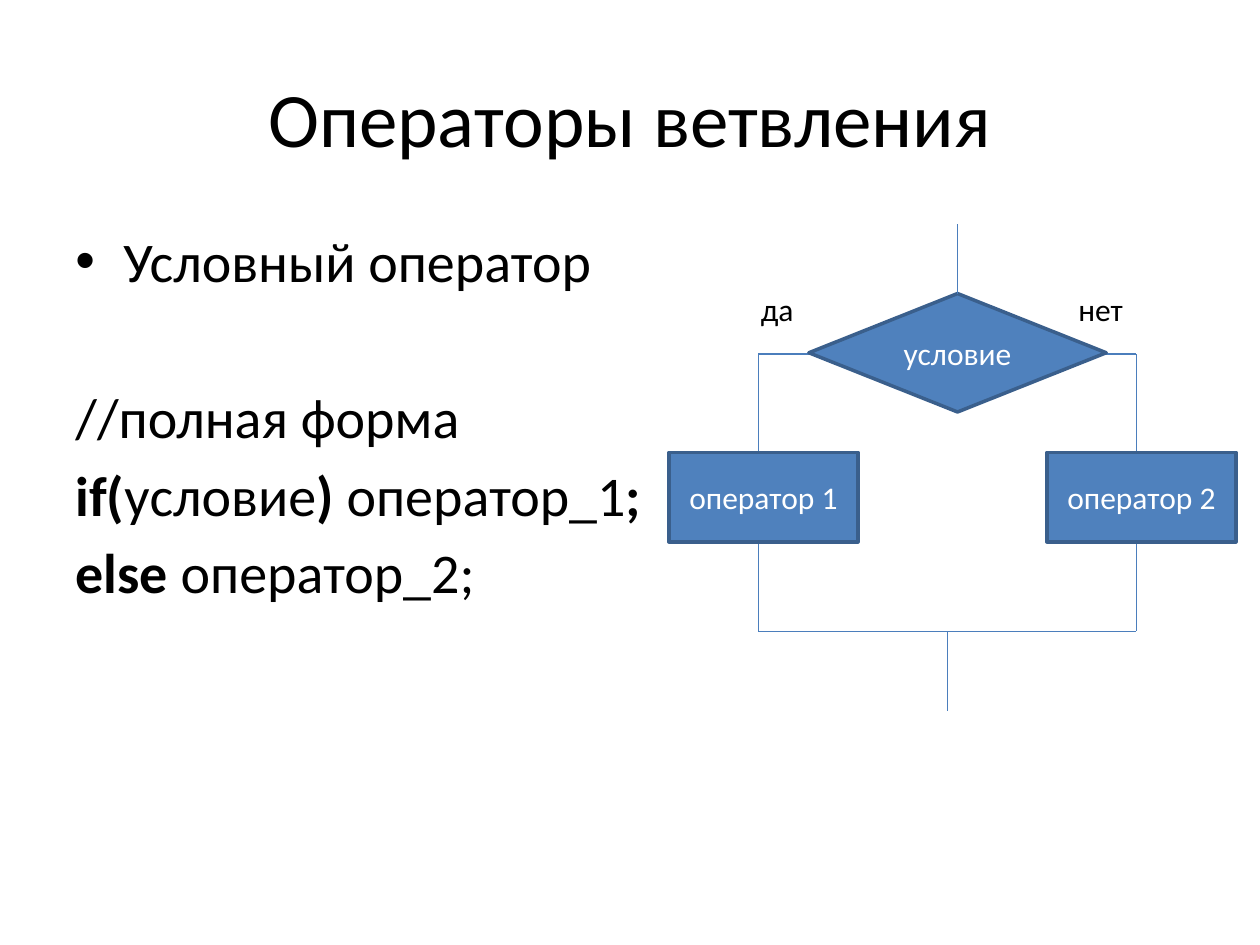
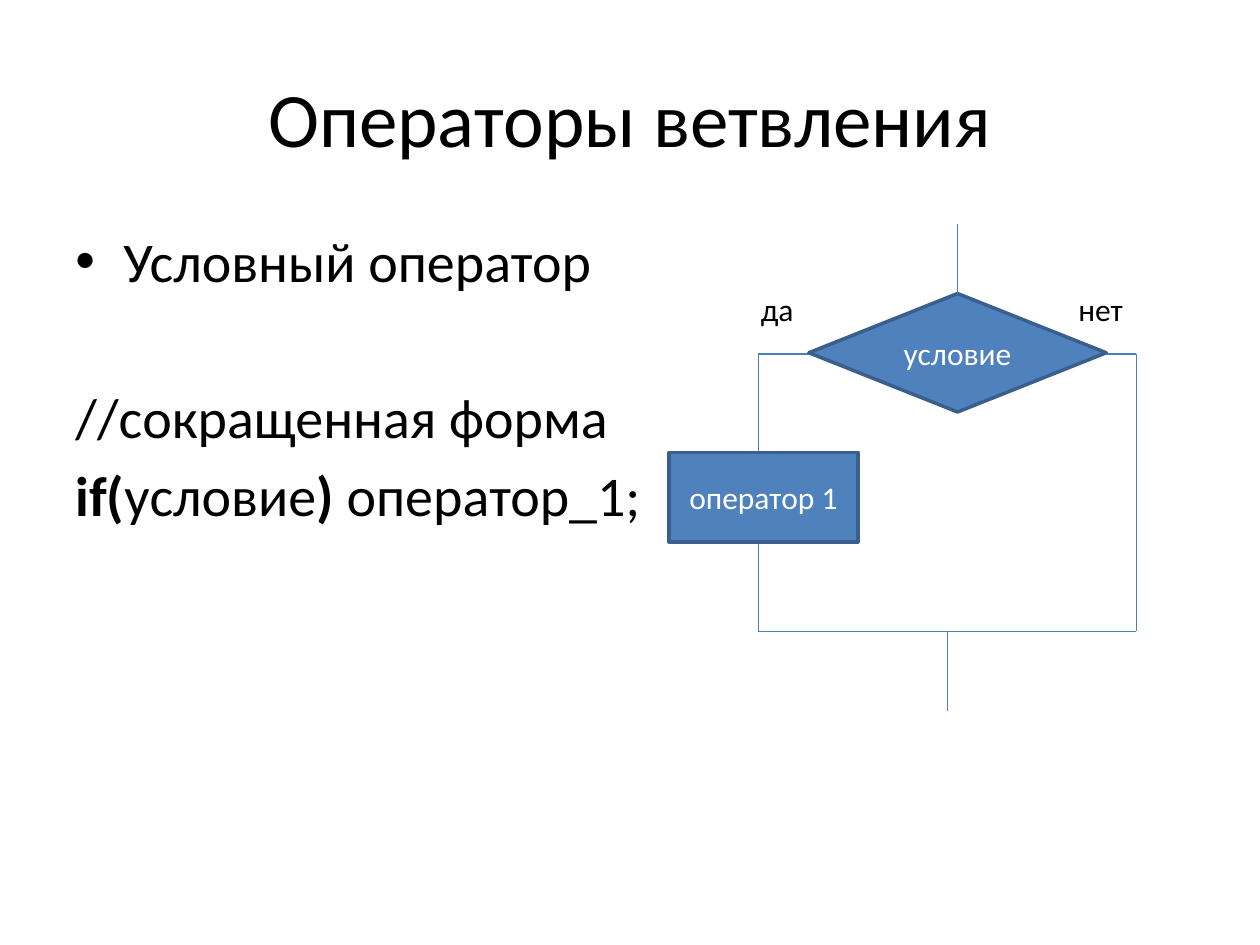
from pptx import Presentation
from pptx.dml.color import RGBColor
from pptx.enum.shapes import MSO_CONNECTOR, MSO_SHAPE
from pptx.enum.text import MSO_ANCHOR, PP_ALIGN
from pptx.oxml.ns import qn
from pptx.util import Emu, Inches, Pt

LINE = MSO_CONNECTOR.STRAIGHT
PROCESS = MSO_SHAPE.FLOWCHART_PROCESS
DECISION = MSO_SHAPE.FLOWCHART_DECISION
LEFT, CENTER = PP_ALIGN.LEFT, PP_ALIGN.CENTER
TOP, MIDDLE = MSO_ANCHOR.TOP, MSO_ANCHOR.MIDDLE

COLS, ROWS = 100, 75
SPACE = 5.8          # points between code lines
BLANK_LINE = 50.7    # points for a skipped line

# Flowchart grid: branch columns, and rows where lines start and end
YES_X, NO_X = 60.2, 90.2
MERGE_X = (YES_X + NO_X) / 2
TEST_X, TEST_Y, TEST_W, TEST_H = 76, 28, 23.6, 9.4
ENTRY_Y, BRANCH_Y, MERGE_Y, EXIT_Y = 17.8, 28.1, 50.1, 56.4
STEP_Y, STEP_W, STEP_H, STEP_SHIFT = 35.9, 15, 7.1, 7.1


def rgb(value):
    return RGBColor.from_string(value)


def write(p, text, size=18, color="000000", bold=False, font="Calibri"):
    r = p.add_run()
    r.text = text
    r.font.name, r.font.size, r.font.bold = font, Pt(size), bold
    r.font.color.rgb = rgb(color)


class Deck:
    fill, border, wire = "4F81BD", "3A5F8C", "4B7EBC"

    def __init__(self):
        self.prs = Presentation()
        self.prs.slide_width, self.prs.slide_height = Inches(10), Inches(7.5)
        self.s = None

    def x(self, cols):
        return Emu(round(self.prs.slide_width * cols / COLS))

    def y(self, rows):
        return Emu(round(self.prs.slide_height * rows / ROWS))

    def box(self, left, top, width, height):
        return self.x(left), self.y(top), self.x(width), self.y(height)

    def frame(self, sp, anchor, align):
        tf = sp.text_frame
        tf.word_wrap, tf.vertical_anchor = True, anchor
        tf.paragraphs[0].alignment = align
        return tf

    def slide(self, title):
        self.s = self.prs.slides.add_slide(self.prs.slide_layouts[5])
        sp = self.s.shapes.title
        sp.left, sp.top, sp.width, sp.height = self.box(5, 3, 90, 12.5)
        write(self.frame(sp, MIDDLE, CENTER).paragraphs[0], title, size=44)

    def label(self, text, left, top):
        sp = self.s.shapes.add_textbox(*self.box(left, top, 6.3, 4))
        write(self.frame(sp, TOP, LEFT).paragraphs[0], text)

    def body(self, heading, code):
        sp = self.s.shapes.add_textbox(*self.box(5, 17.5, 50.5, 49.5))
        tf = self.frame(sp, TOP, LEFT)
        p = tf.paragraphs[0]
        self.bullet(p)
        write(p, heading, size=32)
        for i, runs in enumerate(code):
            p = tf.add_paragraph()
            p.space_before = Pt(SPACE if i else BLANK_LINE)
            for text, bold in runs:
                write(p, text, size=32, bold=bold)

    def bullet(self, p):
        pPr = p._p.get_or_add_pPr()
        pPr.set("marL", str(Inches(0.38)))
        pPr.set("indent", str(-Inches(0.38)))
        font = pPr.makeelement(qn("a:buFont"), {"typeface": "Arial"})
        pPr.append(font)
        pPr.append(pPr.makeelement(qn("a:buChar"), {"char": "•"}))

    def node(self, kind, text, left, top, width, height):
        sp = self.s.shapes.add_shape(kind, *self.box(left, top, width, height))
        sp.shadow.inherit = False
        sp.fill.solid()
        sp.fill.fore_color.rgb = rgb(self.fill)
        sp.line.color.rgb, sp.line.width = rgb(self.border), Pt(2)
        write(self.frame(sp, MIDDLE, CENTER).paragraphs[0], text, color="FFFFFF")
        return sp

    def line(self, x1, y1, x2, y2):
        c = self.s.shapes.add_connector(
            LINE, self.x(x1), self.y(y1), self.x(x2), self.y(y2))
        c.line.color.rgb, c.line.width = rgb(self.wire), Pt(0.75)
        spPr = c._element.spPr
        spPr.append(spPr.makeelement(qn("a:effectLst"), {}))
        return c

    def flowchart(self, steps):
        # Branches, drawn behind the nodes
        for x in (YES_X, NO_X):
            self.line(x, BRANCH_Y, x, MERGE_Y)
        self.line(NO_X, BRANCH_Y, YES_X, BRANCH_Y)
        # Nodes
        for text, x in zip(steps, (YES_X, NO_X)):
            self.node(PROCESS, text, x - STEP_SHIFT, STEP_Y, STEP_W, STEP_H)
        test = self.node(DECISION, "условие", TEST_X - TEST_W / 2,
                         TEST_Y - TEST_H / 2, TEST_W, TEST_H)
        # Entry, merge and exit
        entry = self.line(TEST_X, ENTRY_Y, TEST_X, TEST_Y - TEST_H / 2)
        entry.end_connect(test, 0)
        self.line(YES_X, MERGE_Y, NO_X, MERGE_Y)
        self.line(MERGE_X, MERGE_Y, MERGE_X, EXIT_Y)
        # Branch labels
        self.label("да", 59.4, 22.5)
        self.label("нет", 84.6, 22.5)


def main():
    deck = Deck()
    condition = [("if(", True), ("условие", False), (")", True)]
    full = [
        [("//полная форма", False)],
        condition + [(" оператор_1", False), (";", True)],
        [("else ", True), ("оператор_2;", False)],
    ]
    short = [
        [("//сокращенная форма", False)],
        condition + [(" оператор_1;", False)],
    ]
    for code, steps in ((full, ["оператор 1", "оператор 2"]),
                        (short, ["оператор 1"])):
        deck.slide("Операторы ветвления")
        deck.body("Условный оператор", code)
        deck.flowchart(steps)
    deck.prs.save("out.pptx")


if __name__ == "__main__":
    main()
